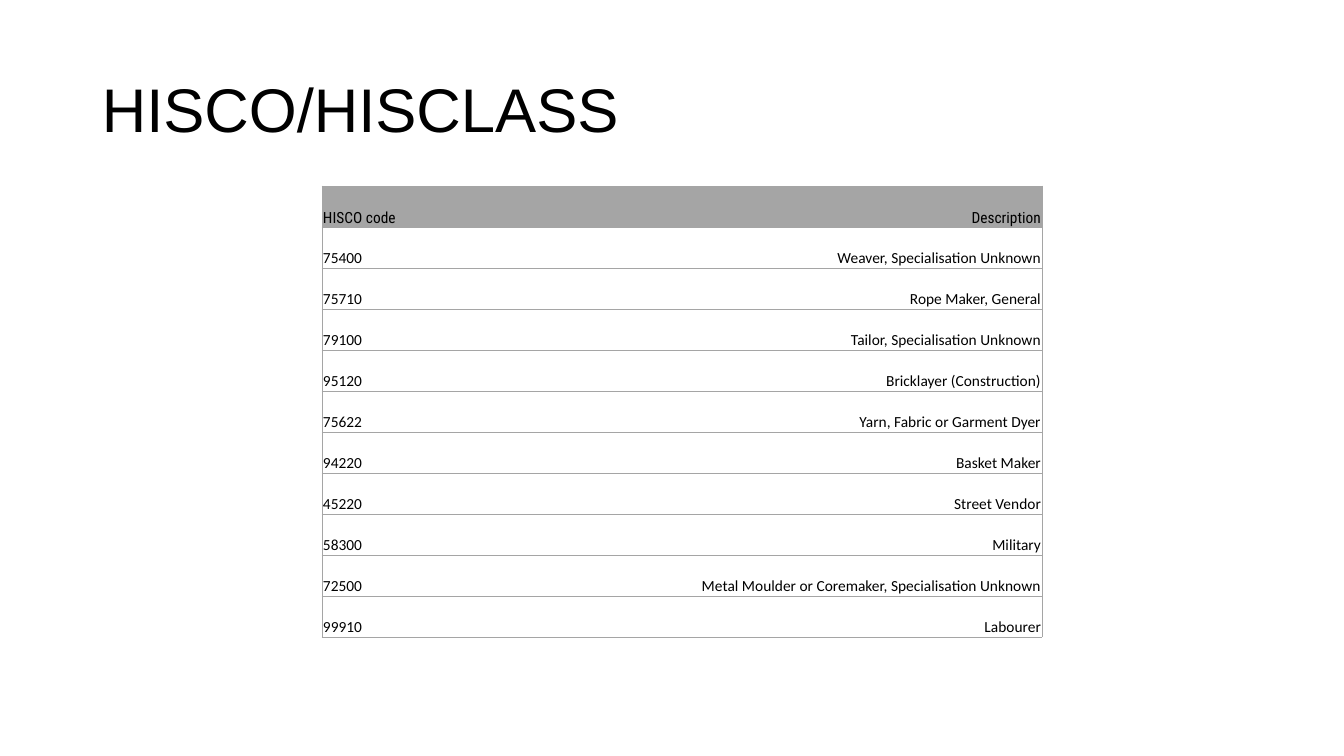
import dataclasses
import typing

import pptx
import pptx.dml.color
import pptx.enum.text
import pptx.oxml
import pptx.oxml.ns
import pptx.util

SLIDE_WIDTH, SLIDE_HEIGHT = 1344, 756
EMU_PER_PX = 12192000 / SLIDE_WIDTH

Align = pptx.enum.text.PP_ALIGN
Anchor = pptx.enum.text.MSO_ANCHOR


@dataclasses.dataclass(frozen=True)
class Theme:
    ink: str = "000000"
    grey: str = "A5A5A5"
    title_font: str = "Arial"
    header_font: str = "Roboto Condensed"
    body_font: str = "Calibri"
    title_size: int = 44
    table_size: int = 11
    border_width: float = 0.5


class Occupation(typing.NamedTuple):
    code: str
    description: str


THEME = Theme()
HEADING = Occupation("HISCO code", "Description")
OCCUPATIONS = [
    Occupation("75400", "Weaver, Specialisation Unknown"),
    Occupation("75710", "Rope Maker, General"),
    Occupation("79100", "Tailor, Specialisation Unknown"),
    Occupation("95120", "Bricklayer (Construction)"),
    Occupation("75622", "Yarn, Fabric or Garment Dyer"),
    Occupation("94220", "Basket Maker"),
    Occupation("45220", "Street Vendor"),
    Occupation("58300", "Military"),
    Occupation("72500", "Metal Moulder or Coremaker, Specialisation Unknown"),
    Occupation("99910", "Labourer"),
]
COLUMN_WIDTHS = (236, 484)
COLUMN_ALIGNMENTS = (Align.LEFT, Align.RIGHT)
ROW_HEIGHT = 41


def px(length: int) -> int:
    return pptx.util.Emu(round(length * EMU_PER_PX))


def rgb(color: str) -> pptx.dml.color.RGBColor:
    return pptx.dml.color.RGBColor.from_string(color)


def style_paragraph(paragraph, font_name: str, size: int, alignment) -> None:
    paragraph.alignment = alignment
    paragraph.font.name = font_name
    paragraph.font.size = pptx.util.Pt(size)
    paragraph.font.color.rgb = rgb(THEME.ink)


def set_border(cell, side: str, visible: bool) -> None:
    paint = f'<a:solidFill><a:srgbClr val="{THEME.grey}"/></a:solidFill>' if visible else "<a:noFill/>"
    width = pptx.util.Pt(THEME.border_width)
    namespace = pptx.oxml.ns.nsdecls("a")
    line = pptx.oxml.parse_xml(f'<a:ln{side} {namespace} w="{width}">{paint}</a:ln{side}>')
    cell._tc.get_or_add_tcPr().append(line)


def draw_title(slide) -> None:
    title = slide.shapes.add_textbox(px(92), px(40), px(1159), px(146)).text_frame
    title.word_wrap = True
    title.vertical_anchor = Anchor.MIDDLE
    title.text = "HISCO/HISCLASS"
    heading = title.paragraphs[0]
    heading.line_spacing = 0.9
    style_paragraph(heading, THEME.title_font, THEME.title_size, Align.LEFT)


def draw_cell(cell, text: str, column: int, is_header: bool) -> None:
    cell.margin_left = cell.margin_right = cell.margin_top = px(1)
    cell.margin_bottom = 0
    cell.vertical_anchor = Anchor.BOTTOM
    cell.text = text
    font_name = THEME.header_font if is_header else THEME.body_font
    style_paragraph(cell.text_frame.paragraphs[0], font_name, THEME.table_size, COLUMN_ALIGNMENTS[column])

    # Horizontal rules everywhere, vertical rules on the outer edges only
    borders = {"L": column == 0, "R": column == len(COLUMN_WIDTHS) - 1, "T": True, "B": True}
    for side, visible in borders.items():
        set_border(cell, side, visible)

    if is_header:
        cell.fill.solid()
        cell.fill.fore_color.rgb = rgb(THEME.grey)
    else:
        cell.fill.background()


def draw_occupations(slide) -> None:
    rows = [HEADING, *OCCUPATIONS]
    table = slide.shapes.add_table(
        len(rows), len(COLUMN_WIDTHS), px(322), px(186),
        px(sum(COLUMN_WIDTHS)), px(ROW_HEIGHT * len(rows)),
    ).table
    table.first_row = table.horz_banding = False
    for column, width in zip(table.columns, COLUMN_WIDTHS):
        column.width = px(width)
    for row_index, occupation in enumerate(rows):
        table.rows[row_index].height = px(ROW_HEIGHT)
        for column_index, text in enumerate(occupation):
            draw_cell(table.cell(row_index, column_index), text, column_index, row_index == 0)


def main() -> None:
    presentation = pptx.Presentation()
    presentation.slide_width = px(SLIDE_WIDTH)
    presentation.slide_height = px(SLIDE_HEIGHT)
    slide = presentation.slides.add_slide(presentation.slide_layouts[6])
    draw_title(slide)
    draw_occupations(slide)
    presentation.save("out.pptx")


if __name__ == "__main__":
    main()
